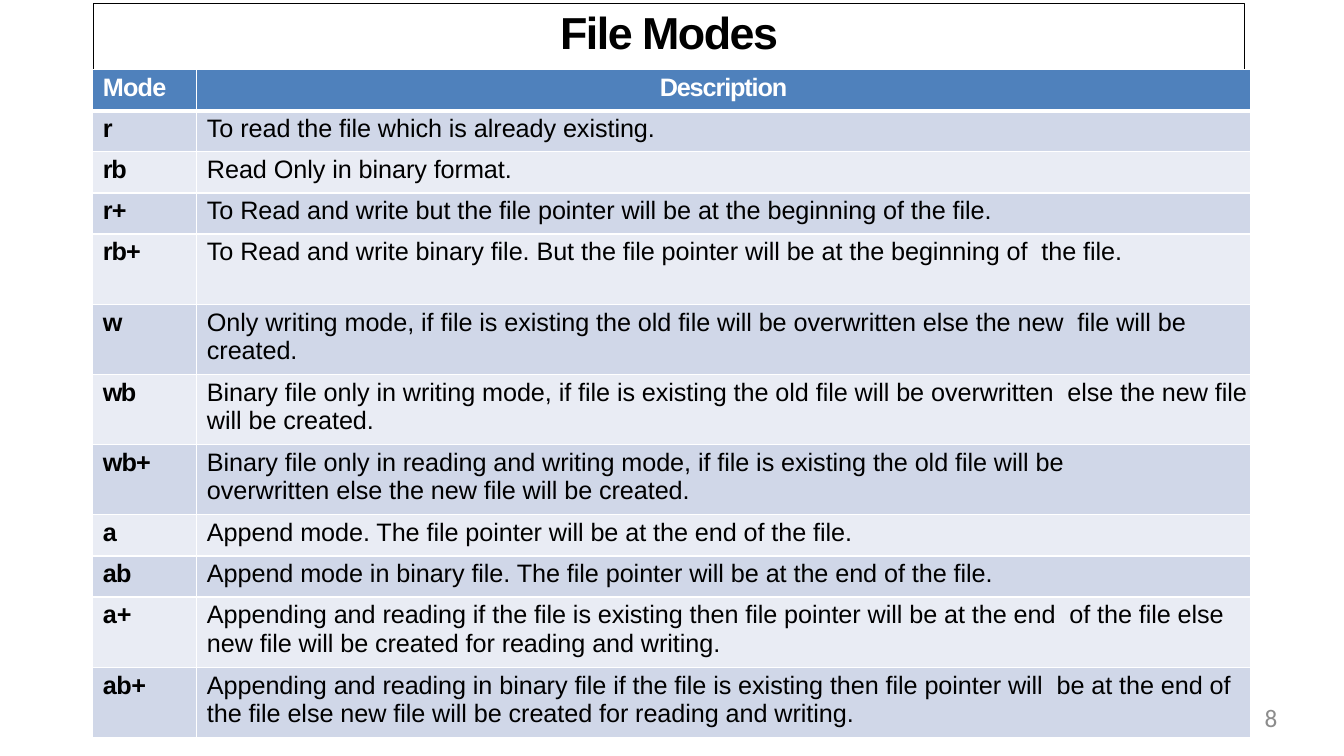
from pptx import Presentation
from pptx import util as u
from pptx.dml.color import RGBColor
from pptx.enum import text
from pptx.oxml import parse_xml
from pptx.oxml.ns import nsdecls

COLORS = {
    "ink": "000000",
    "paper": "FFFFFF",
    "header": "4F81BC",
    "odd": "D0D7E8",
    "even": "E9ECF4",
    "number": "8C8C8C",
}
ROW_HEIGHTS = {1: 0.41, 2: 0.7}  # relative height by number of lines
DESCRIPTION_TRACKING = -0.07

# Mode, its letter spacing in points, lines of room, description
FILE_MODES = [
    ("r", 0, 1, "To read the file which is already existing."),
    ("rb", -0.9, 1, "Read Only in binary format."),
    ("r+", -0.5, 1, "To Read and write but the file pointer will be at the beginning of the file."),
    ("rb+", -0.7, 2, "To Read and write binary file. But the file pointer will be at the "
     "beginning of  the file."),
    ("w", 0, 2, "Only writing mode, if file is existing the old file will be overwritten "
     "else the new  file will be created."),
    ("wb", -1, 2, "Binary file only in writing mode, if file is existing the old file will "
     "be overwritten  else the new file will be created."),
    ("wb+", -0.6, 2, "Binary file only in reading and writing mode, if file is existing the "
     "old file will be\noverwritten else the new file will be created."),
    ("a", 0, 1, "Append mode. The file pointer will be at the end of the file."),
    ("ab", -0.5, 1, "Append mode in binary file. The file pointer will be at the end of the file."),
    ("a+", 0.1, 2, "Appending and reading if the file is existing then file pointer will be "
     "at the end  of the file else new file will be created for reading and writing."),
    ("ab+", -0.3, 2, "Appending and reading in binary file if the file is existing then file "
     "pointer will  be at the end of the file else new file will be created for reading "
     "and writing."),
]


class SlideBuilder:
    """Holds the style and the slide; lengths are percentages of the slide."""

    def __init__(self, deck):
        self.width, self.height = deck.slide_width, deck.slide_height
        self.page = deck.slides.add_slide(deck.slide_layouts[5])  # title only

    def area(self, left, top, width, height):
        return (round(self.width * left / 100), round(self.height * top / 100),
                round(self.width * width / 100), round(self.height * height / 100))

    def color(self, name):
        return RGBColor.from_string(COLORS[name])

    def set_text(self, frame, words, size, color, font="Arial", bold=False, align="LEFT",
                 tracking=0, before=0, indent=0):
        """Fill a text frame, one paragraph for each line of words."""
        frame.word_wrap = True
        frame.text = words
        for index, para in enumerate(frame.paragraphs):
            para.alignment = text.PP_ALIGN[align]
            para.space_before = u.Pt(0 if index else before)
            para.font.name, para.font.size, para.font.bold = font, u.Pt(size), bold
            para.font.color.rgb = self.color(color)
            properties = para._p.get_or_add_pPr()
            properties.set("marL", str(u.Inches(indent)))
            properties.set("indent", "0")
            for span in para.runs:
                span._r.get_or_add_rPr().set("spc", str(round(tracking * 100)))

    def fit(self, frame, top_inset=0):
        frame.margin_left = frame.margin_right = frame.margin_bottom = 0
        frame.margin_top = u.Inches(top_inset)
        frame.vertical_anchor = text.MSO_ANCHOR.TOP
        frame.auto_size = text.MSO_AUTO_SIZE.SHAPE_TO_FIT_TEXT

    def title(self, words, *place):
        box = self.page.shapes.title
        box.left, box.top, box.width, box.height = self.area(*place)
        box.line.color.rgb = self.color("ink")
        box.line.width = u.Pt(0.75)
        self.fit(box.text_frame, 0.01)
        self.set_text(box.text_frame, words, 32, "ink", bold=True, align="CENTER",
                      tracking=-1.1, before=1)

    def label(self, words, *place, **style):
        box = self.page.shapes.add_textbox(*self.area(*place))
        self.fit(box.text_frame)
        self.set_text(box.text_frame, words, **style)

    def cell(self, cell, words, fill, top=1, bottom=1, color="ink", **style):
        cell.margin_left = cell.margin_right = cell.margin_bottom = 0
        cell.margin_top = u.Inches(0.04)
        self.set_text(cell.text_frame, words, 18, color, before=3, **style)
        # Borders come before the fill in the cell properties
        properties = cell._tc.get_or_add_tcPr()
        for side, points in (("L", 1), ("R", 1), ("T", top), ("B", bottom)):
            properties.append(parse_xml(
                f'<a:ln{side} {nsdecls("a")} w="{u.Pt(points)}"><a:solidFill>'
                f'<a:srgbClr val="{COLORS["paper"]}"/></a:solidFill></a:ln{side}>'))
        cell.fill.solid()
        cell.fill.fore_color.rgb = self.color(fill)

    def mode_table(self, modes, mode_share, *place):
        left, top, width, height = self.area(*place)
        table = self.page.shapes.add_table(len(modes) + 1, 2, left, top, width, height).table
        table.columns[0].width = round(width * mode_share)
        table.columns[1].width = width - table.columns[0].width
        weights = [ROW_HEIGHTS[lines] for lines in [1] + [mode[2] for mode in modes]]
        for row, weight in zip(table.rows, weights):
            row.height = round(height * weight / sum(weights))

        # Header row
        header = dict(fill="header", color="paper", bold=True, bottom=3)
        self.cell(table.cell(0, 0), "Mode", indent=0.1, tracking=-0.5, **header)
        self.cell(table.cell(0, 1), "Description", align="CENTER", tracking=-0.8, **header)

        # Banded rows
        for row, (mode, tracking, _, description) in enumerate(modes, start=1):
            band = dict(fill="odd" if row % 2 else "even", top=3 if row == 1 else 1, indent=0.1)
            self.cell(table.cell(row, 0), mode, bold=True, tracking=tracking, **band)
            self.cell(table.cell(row, 1), description, tracking=DESCRIPTION_TRACKING, **band)


def main():
    deck = Presentation()
    deck.slide_width, deck.slide_height = u.Inches(13.33), u.Inches(7.5)
    slide = SlideBuilder(deck)
    slide.title("File Modes", 6.98, 0.5, 85.6, 7.33)
    slide.mode_table(FILE_MODES, 0.09, 6.9, 9.2, 86.12, 88.4)
    slide.label("8", 72.02, 92.93, 23.03, 4, size=18, color="number",
                font="Calibri", align="RIGHT")
    deck.save("out.pptx")


if __name__ == "__main__":
    main()
